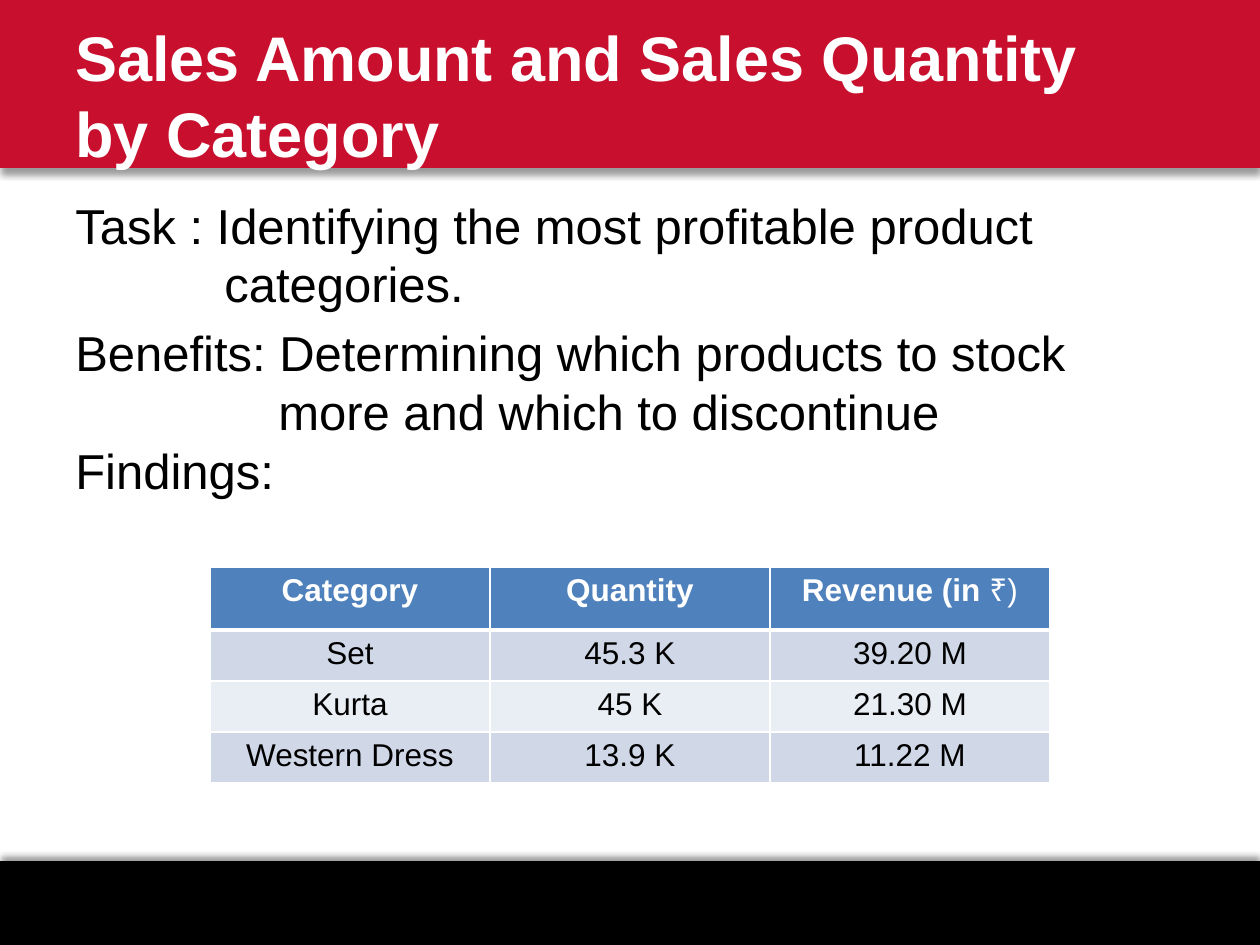
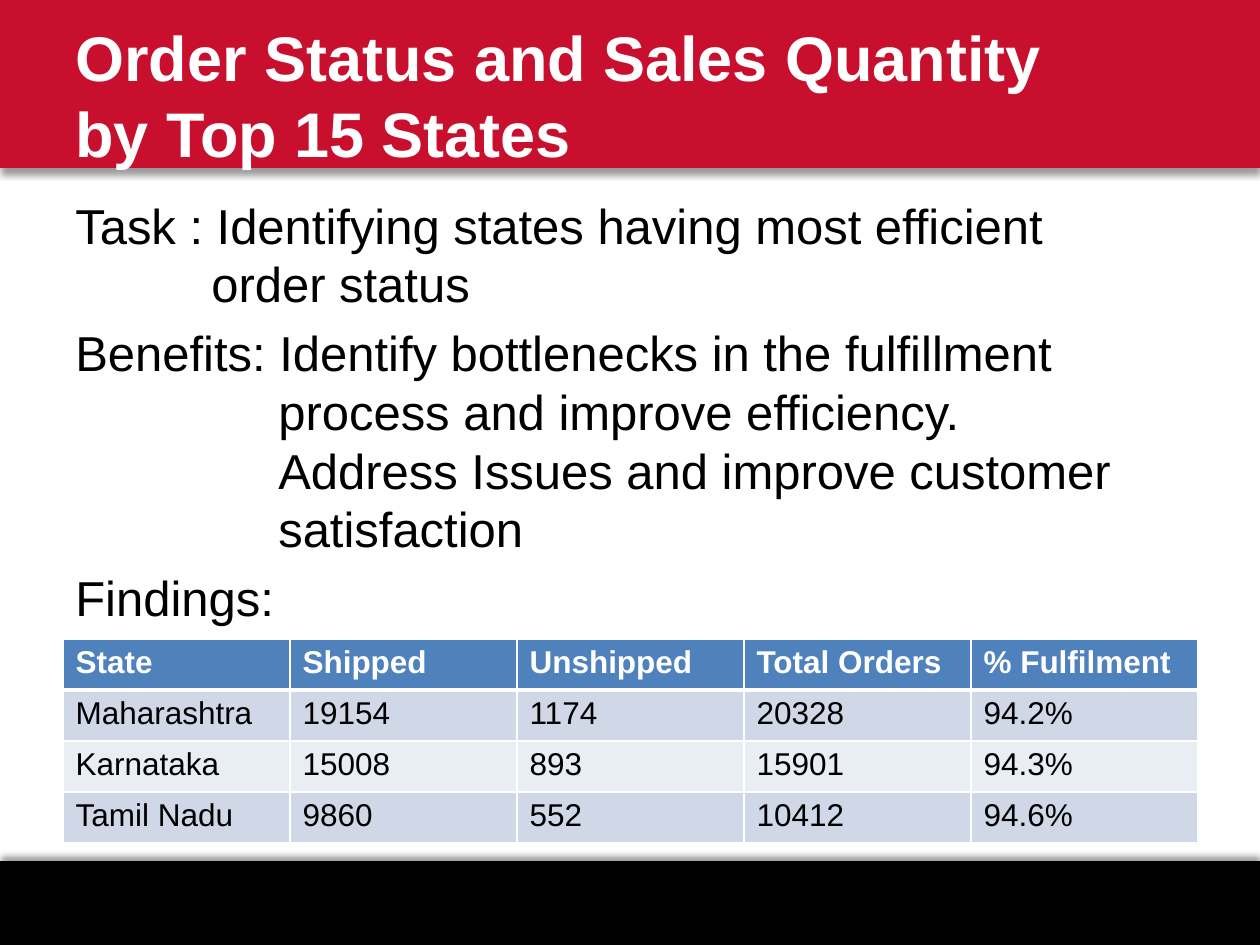
import dataclasses

import pptx
import pptx.dml.color
import pptx.enum.shapes
import pptx.enum.text
import pptx.oxml
import pptx.oxml.ns
import pptx.util


@dataclasses.dataclass(frozen=True)
class Theme:
    font: str = "Arial"
    red: str = "C8102E"
    black: str = "000000"
    white: str = "FFFFFF"
    header: str = "4F81BD"
    stripes: tuple = ("D0D8E8", "E9EDF4")
    title_size: int = 36
    body_size: int = 28
    cell_size: int = 18
    line_pitch: float = 1.2


THEME = Theme()
SCALE = pptx.util.Inches(1) / 126
ALIGN = pptx.enum.text.PP_ALIGN
NAMESPACE = pptx.oxml.ns.nsdecls("a")


def px(*lengths):
    return [round(length * SCALE) for length in lengths]


def write(para, text, size=THEME.body_size, color=THEME.black, bold=False,
          align=ALIGN.LEFT, hanging=0, before=0, pitch=None):
    """Add text to a paragraph; each new line becomes a line break."""
    if hanging:
        indent = px(hanging)[0]
        properties = para._p.get_or_add_pPr()
        properties.set("marL", str(indent))
        properties.set("indent", str(-indent))
    para.alignment = align
    para.space_before = pptx.util.Pt(before)
    if pitch:
        para.line_spacing = pptx.util.Pt(size * pitch)
    for number, line in enumerate(text.split("\n")):
        if number:
            para.add_line_break()
        span = para.add_run()
        span.text = line
        span.font.name = THEME.font
        span.font.size = pptx.util.Pt(size)
        span.font.bold = bold
        span.font.color.rgb = pptx.dml.color.RGBColor.from_string(color)


# Shared bands: place, colour, shadow direction in degrees
BANDS = [((0, 861, 1260, 84), THEME.black, 270),
         ((0, 0, 1260, 168), THEME.red, 90)]

# Body paragraphs: text, hanging indent in px, space before in points
SLIDES = [
    {
        "title": "Sales Amount and Sales Quantity by Category",
        "body": [
            ("Task : Identifying the most profitable product\ncategories.", 149, 0),
            ("Benefits: Determining which products to stock\n"
             "more and which to discontinue", 203, 5.6),
            ("Findings:", 0, 0),
        ],
        "table_at": (210, 567),
        "column": 280,
        "header_row": 63,
        "align": ALIGN.CENTER,
        "rows": [
            ("Category", "Quantity", "Revenue (in ₹)"),
            ("Set", "45.3 K", "39.20 M"),
            ("Kurta", "45 K", "21.30 M"),
            ("Western Dress", "13.9 K", "11.22 M"),
        ],
    },
    {
        "title": "Order Status and Sales Quantity by Top 15 States",
        "body": [
            ("Task : Identifying states having most efficient\norder status", 136, 0),
            ("Benefits: Identify bottlenecks in the fulfillment\n"
             "process and improve efficiency.\n"
             "Address Issues and improve customer\nsatisfaction", 203, 5.6),
            ("Findings:", 0, 5.6),
        ],
        "table_at": (63, 639),
        "column": 227,
        "header_row": 51,
        "align": ALIGN.LEFT,
        "rows": [
            ("State", "Shipped", "Unshipped", "Total Orders", "% Fulfilment"),
            ("Maharashtra", "19154", "1174", "20328", "94.2%"),
            ("Karnataka", "15008", "893", "15901", "94.3%"),
            ("Tamil Nadu", "9860", "552", "10412", "94.6%"),
        ],
    },
]
BODY_ROW = 51

deck = pptx.Presentation()
deck.slide_width, deck.slide_height = px(1260, 945)

for content in SLIDES:
    page = deck.slides.add_slide(deck.slide_layouts[6])

    # Footer and title bands with soft shadows
    for place, color, direction in BANDS:
        band = page.shapes.add_shape(
            pptx.enum.shapes.MSO_SHAPE.RECTANGLE, *px(*place))
        band.fill.solid()
        band.fill.fore_color.rgb = pptx.dml.color.RGBColor.from_string(color)
        band.line.fill.background()
        band.shadow.inherit = False
        effects = band._element.spPr.find(pptx.oxml.ns.qn("a:effectLst"))
        effects.append(pptx.oxml.parse_xml(
            f'<a:outerShdw {NAMESPACE} blurRad="{pptx.util.Pt(4)}" '
            f'dist="{pptx.util.Pt(3)}" dir="{direction * 60000}" rotWithShape="0">'
            f'<a:srgbClr val="{THEME.black}"><a:alpha val="40000"/></a:srgbClr>'
            '</a:outerShdw>'))

    # Body text
    box = page.shapes.add_textbox(*px(63, 189, 1081, 640)).text_frame
    box.word_wrap = True
    for number, (text, hanging, before) in enumerate(content["body"]):
        para = box.add_paragraph() if number else box.paragraphs[0]
        write(para, text, hanging=hanging, before=before, pitch=THEME.line_pitch)

    # Title
    box = page.shapes.add_textbox(*px(63, 21, 1040, 147)).text_frame
    box.word_wrap = True
    box.vertical_anchor = pptx.enum.text.MSO_ANCHOR.MIDDLE
    write(box.paragraphs[0], content["title"], size=THEME.title_size,
          color=THEME.white, bold=True, pitch=THEME.line_pitch)

    # Findings table
    rows = content["rows"]
    heights = [content["header_row"]] + [BODY_ROW] * (len(rows) - 1)
    width = content["column"] * len(rows[0])
    table = page.shapes.add_table(
        len(rows), len(rows[0]),
        *px(*content["table_at"], width, sum(heights))).table
    for column in table.columns:
        column.width = px(content["column"])[0]
    for row_number, values in enumerate(rows):
        table.rows[row_number].height = px(heights[row_number])[0]
        is_header = row_number == 0
        fill = THEME.header if is_header else THEME.stripes[(row_number - 1) % 2]
        color = THEME.white if is_header else THEME.black
        for column_number, value in enumerate(values):
            cell = table.cell(row_number, column_number)
            cell.fill.solid()
            cell.fill.fore_color.rgb = pptx.dml.color.RGBColor.from_string(fill)

            # The currency mark in the header is not bold
            words, mark, rest = value.partition("₹")
            para = cell.text_frame.paragraphs[0]
            write(para, words, size=THEME.cell_size, color=color,
                  bold=is_header, align=content["align"])
            if mark:
                write(para, mark + rest, size=THEME.cell_size, color=color,
                      align=content["align"])

            # White cell borders, heavier under the header
            weights = {"L": 1, "R": 1, "T": 3 if row_number == 1 else 1,
                       "B": 3 if is_header else 1}
            for position, (side, weight) in enumerate(weights.items()):
                cell._tc.get_or_add_tcPr().insert(position, pptx.oxml.parse_xml(
                    f'<a:ln{side} {NAMESPACE} w="{pptx.util.Pt(weight)}">'
                    f'<a:solidFill><a:srgbClr val="{THEME.white}"/></a:solidFill>'
                    f'</a:ln{side}>'))

deck.save("out.pptx")
